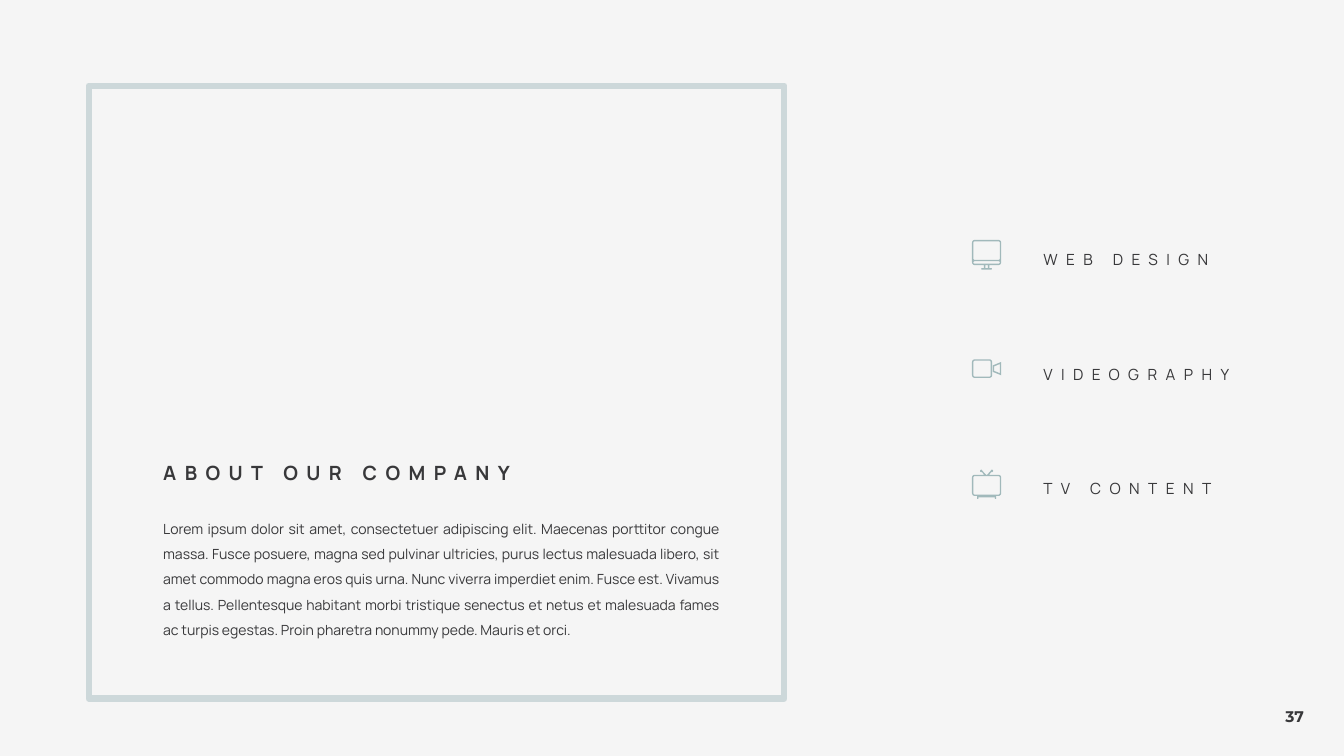
from dataclasses import dataclass
from math import cos, radians, sin

from pptx import Presentation
from pptx.dml.color import RGBColor
from pptx.enum.shapes import MSO_SHAPE
from pptx.enum.text import MSO_ANCHOR, MSO_AUTO_SIZE, PP_ALIGN
from pptx.util import Inches, Pt


@dataclass(frozen=True)
class Theme:
    background: RGBColor = RGBColor.from_string("F5F5F5")
    ink: RGBColor = RGBColor.from_string("38383A")
    icon: RGBColor = RGBColor.from_string("A1B9BB")
    frame: RGBColor = RGBColor.from_string("CDD8DA")
    frame_width: float = 4.5
    font: str = "Manrope"
    number_font: str = "Montserrat"
    heading_size: int = 14
    label_size: int = 11
    body_size: int = 10
    tracking: int = 6
    line_spacing: float = 1.5


THEME = Theme()
ICON_UNITS = 1000

BODY = (
    "Lorem ipsum dolor sit amet, consectetuer adipiscing elit. Maecenas porttitor "
    "congue massa. Fusce posuere, magna sed pulvinar ultricies, purus lectus malesuada "
    "libero, sit amet commodo magna eros quis urna. Nunc viverra imperdiet enim. Fusce "
    "est. Vivamus a tellus. Pellentesque habitant morbi tristique senectus et netus et "
    "malesuada fames ac turpis egestas. Proin pharetra nonummy pede. Mauris et orci."
)


def rounded(left, top, right, bottom, radius):
    corners = [
        (right - radius, bottom - radius, 0),
        (left + radius, bottom - radius, 90),
        (left + radius, top + radius, 180),
        (right - radius, top + radius, 270),
    ]
    return [
        (x + radius * cos(radians(start + step)), y + radius * sin(radians(start + step)))
        for x, y, start in corners
        for step in range(0, 91, 15)
    ]


def block(left, top, right, bottom):
    return [(left, top), (right, top), (right, bottom), (left, bottom)]


def mirrored(contour):
    return [(290 - x, y) for x, y in contour]


def monitor_icon():
    leg = block(118, 250, 132, 280)
    return [
        rounded(0, 0, 290, 250, 28),
        rounded(14, 14, 276, 198, 14),
        rounded(14, 212, 276, 236, 12),
        leg,
        mirrored(leg),
        rounded(92, 280, 198, 294, 7),
    ]


def camera_icon():
    return [
        rounded(0, 0, 200, 185, 28),
        rounded(14, 14, 186, 171, 14),
        [(207, 60), (290, 26), (290, 159), (207, 125)],
        [(221, 70), (276, 47), (276, 138), (221, 115)],
    ]


def television_icon():
    aerial = [(120, 50), (98, 22), (106, 14), (140, 50)]
    tip = rounded(80, 0, 104, 24, 12)
    return [
        rounded(0, 50, 290, 260, 28),
        rounded(14, 64, 276, 246, 14),
        aerial,
        mirrored(aerial),
        tip,
        mirrored(tip),
        [(50, 260), (50, 290), (64, 290), (64, 274),
         (226, 274), (226, 290), (240, 290), (240, 260)],
    ]


def add_icon(shapes, left, top, contours):
    builder = None
    for first, *rest in contours:
        if builder is None:
            builder = shapes.build_freeform(*first, scale=Inches(1) / ICON_UNITS)
        else:
            builder.move_to(*first)
        builder.add_line_segments(rest, close=True)
    icon = builder.convert_to_shape(Inches(left), Inches(top))
    icon.shadow.inherit = False
    icon.fill.solid()
    icon.fill.fore_color.rgb = THEME.icon
    icon.line.fill.background()


def add_text(shapes, box, text, size, font=THEME.font, bold=False, tracking=0,
             align=PP_ALIGN.LEFT, spacing=THEME.line_spacing,
             anchor=MSO_ANCHOR.TOP, wrap=True):
    frame = shapes.add_textbox(*map(Inches, box)).text_frame
    frame.word_wrap = wrap
    frame.auto_size = MSO_AUTO_SIZE.SHAPE_TO_FIT_TEXT
    frame.vertical_anchor = anchor
    paragraph = frame.paragraphs[0]
    paragraph.alignment = align
    paragraph.line_spacing = spacing
    run = paragraph.add_run()
    run.text = text
    run.font.name = font
    run.font.size = Pt(size)
    run.font.bold = bold
    run.font.color.rgb = THEME.ink
    if tracking:
        run.font._element.set("spc", str(tracking * 100))


def add_about(shapes, box):
    left, top, width, height = box
    text_left, text_width = left + 0.64, width - 1.19
    add_text(shapes, (text_left, top + 4.18, text_width, 1.36), BODY,
             THEME.body_size, align=PP_ALIGN.JUSTIFY)
    add_text(shapes, (text_left, top + 3.56, text_width, 0.45), "ABOUT OUR COMPANY",
             THEME.heading_size, bold=True, tracking=THEME.tracking,
             align=PP_ALIGN.JUSTIFY)
    border = shapes.add_shape(MSO_SHAPE.RECTANGLE, *map(Inches, box))
    border.shadow.inherit = False
    border.fill.background()
    border.line.color.rgb = THEME.frame
    border.line.width = Pt(THEME.frame_width)


def add_services(shapes, box):
    left, top, width, height = box
    label_height = 0.38
    services = [
        ("WEB DESIGN", monitor_icon(), 0.04),
        ("VIDEOGRAPHY", camera_icon(), 0.09),
        ("TV CONTENT", television_icon(), 0.05),
    ]
    pitch = (height - label_height) / (len(services) - 1)
    for row, (label, contours, icon_drop) in enumerate(services):
        row_top = top + row * pitch
        service = service_shapes = shapes.add_group_shape().shapes
        add_icon(service, left, row_top + icon_drop, contours)
        add_text(service_shapes, (left + 0.61, row_top, width - 0.61, label_height),
                 label, THEME.label_size, tracking=THEME.tracking,
                 anchor=MSO_ANCHOR.MIDDLE)


def add_page_number(shapes, box):
    add_text(shapes, box, "37", THEME.label_size, font=THEME.number_font, bold=True,
             spacing=1.0, wrap=False)


def main():
    presentation = Presentation()
    presentation.slide_width = Inches(13.33)
    presentation.slide_height = Inches(7.5)
    slide = presentation.slides.add_slide(presentation.slide_layouts[6])
    slide.background.fill.solid()
    slide.background.fill.fore_color.rgb = THEME.background
    add_page_number(slide.shapes, (12.65, 6.97, 0.41, 0.29))
    add_services(slide.shapes, (9.64, 2.34, 3.06, 2.65))
    add_about(slide.shapes, (0.88, 0.85, 6.9, 6.08))
    presentation.save("out.pptx")


if __name__ == "__main__":
    main()
